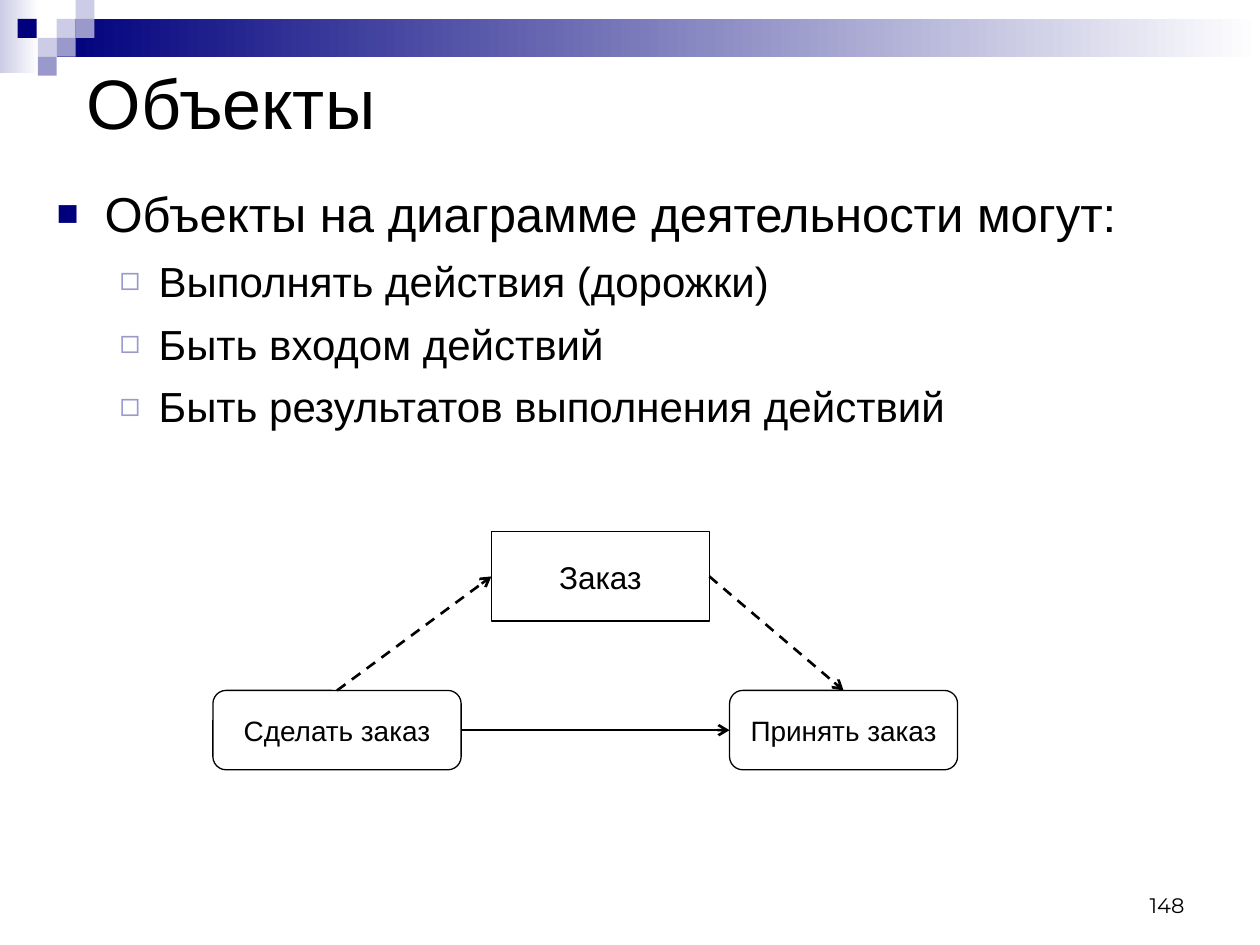
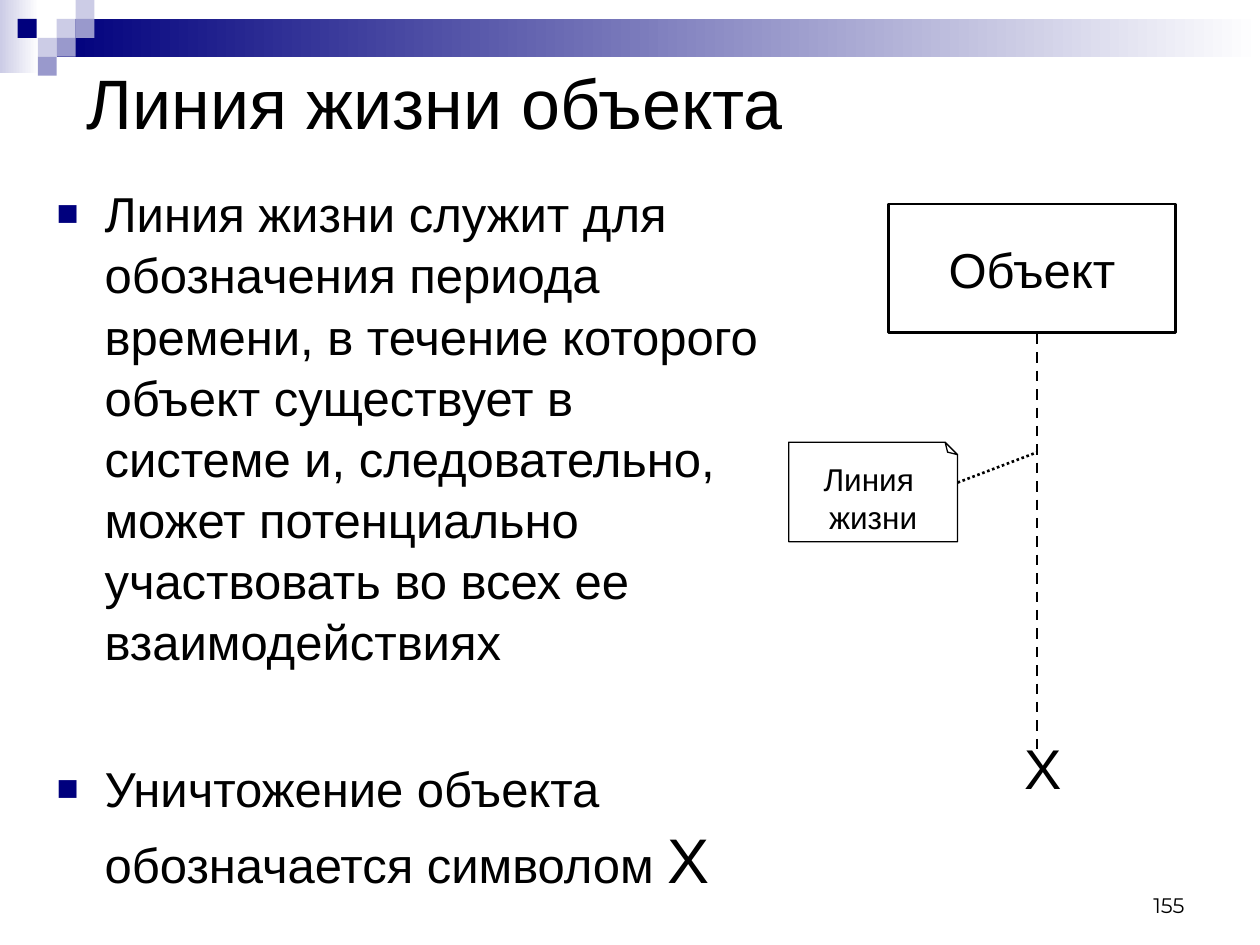
import dataclasses
import typing

import pptx
import pptx.dml.color
import pptx.enum.dml
import pptx.enum.shapes
import pptx.enum.text
import pptx.oxml.ns
import pptx.util

Inches = pptx.util.Inches
Pt = pptx.util.Pt
Shapes = pptx.enum.shapes.MSO_SHAPE
Align = pptx.enum.text.PP_ALIGN
Anchor = pptx.enum.text.MSO_ANCHOR
Dash = pptx.enum.dml.MSO_LINE
qn = pptx.oxml.ns.qn
TOP, LEFT, BOTTOM, RIGHT = range(4)


@dataclasses.dataclass(frozen=True)
class Theme:
    black: str = "000000"
    white: str = "FFFFFF"
    navy: str = "00007D"
    lilac: str = "9999CC"
    pale: str = "CCCCE6"
    font: str = "Arial"
    number_font: str = "Montserrat"
    title: float = 40
    body: float = 28
    sub_body: float = 24
    action: float = 16
    label: float = 18
    cross: float = 32
    large_cross: float = 36
    number: float = 12
    thin: float = 0.75
    thick: float = 1.5
    line_spacing: float = 1.04


THEME = Theme()


class Box(typing.NamedTuple):
    left: float
    top: float
    width: float
    height: float

    def lengths(self) -> list:
        return [Inches(value) for value in self]


class Bullet(typing.NamedTuple):
    char: str
    color: str
    percent: int
    margin: float
    hanging: float
    size: float


class Item(typing.NamedTuple):
    runs: dict[str, float]
    level: int = 0
    space_before: float = 0


class Node(typing.NamedTuple):
    text: str
    kind: Shapes
    box: Box
    size: float
    line_width: float = THEME.thin


BULLETS = (
    Bullet("■", THEME.navy, 75, 0.38, 0.38, THEME.body),
    Bullet("◻", THEME.lilac, 80, 0.81, 0.31, THEME.sub_body),
)
CELL = 0.15
MOSAIC = (
    (0.45, 0.15, THEME.pale),
    (0.6, 0, THEME.pale),
    (0.6, 0.15, THEME.lilac),
    (0.3, 0.3, THEME.pale),
    (0.14, 0.15, THEME.navy),
    (0.45, 0.3, THEME.lilac),
    (0.3, 0.45, THEME.lilac),
)
GRADIENT_BANDS = (
    (Box(0, 0, 0.31, 0.58), THEME.pale),
    (Box(0.45, 0.15, 9.55, 0.3), THEME.navy),
)
TITLE_BOX = Box(0.59, 0.44, 9.14, 0.73)
NUMBER_BOX = Box(7.17, 6.83, 2.33, 0.5)


def rgb(color: str) -> pptx.dml.color.RGBColor:
    return pptx.dml.color.RGBColor.from_string(color)


def place(shape, box: Box) -> None:
    shape.left, shape.top, shape.width, shape.height = box.lengths()


def style_font(font, size: float, name: str = THEME.font) -> None:
    font.name, font.size = name, Pt(size)
    font.color.rgb = rgb(THEME.black)


def write(text_frame, text: str, size: float, align, anchor, name: str = THEME.font) -> None:
    text_frame.text = text
    text_frame.vertical_anchor = anchor
    for paragraph in text_frame.paragraphs:
        paragraph.alignment = align
        for run in paragraph.runs:
            style_font(run.font, size, name)


def add_band(slide, box: Box):
    shape = slide.shapes.add_shape(Shapes.RECTANGLE, *box.lengths())
    shape.shadow.inherit = False
    shape.line.fill.background()
    return shape


def decorate_layout(layout, slide) -> None:
    """Build the top ornament on a slide and move it behind the layout's placeholders."""
    ornament = []
    for box, color in GRADIENT_BANDS:
        band = add_band(slide, box)
        band.fill.gradient()
        band.fill.gradient_angle = 180
        for stop, stop_color in zip(band.fill.gradient_stops, (THEME.white, color)):
            stop.color.rgb = rgb(stop_color)
        ornament.append(band)
    for left, top, color in MOSAIC:
        square = add_band(slide, Box(left, top, CELL, CELL))
        square.fill.solid()
        square.fill.fore_color.rgb = rgb(color)
        ornament.append(square)
    for index, shape in enumerate(ornament):
        shape.element.nvSpPr.cNvPr.set("id", str(100 + index))
        layout.shapes.element.insert(2 + index, shape.element)


def add_bullet(paragraph, bullet: Bullet) -> None:
    properties = paragraph._p.get_or_add_pPr()
    properties.set("marL", str(Inches(bullet.margin)))
    properties.set("indent", str(-Inches(bullet.hanging)))
    color = properties.makeelement(qn("a:buClr"), {})
    color.append(color.makeelement(qn("a:srgbClr"), {"val": bullet.color}))
    properties.append(color)
    for tag, attribute, value in (
        ("a:buSzPct", "val", str(bullet.percent * 1000)),
        ("a:buFont", "typeface", THEME.font),
        ("a:buChar", "char", bullet.char),
    ):
        properties.append(properties.makeelement(qn(tag), {attribute: value}))


def fill_list(placeholder, box: Box, items: tuple[Item, ...]) -> None:
    place(placeholder, box)
    text_frame = placeholder.text_frame
    text_frame.auto_size = pptx.enum.text.MSO_AUTO_SIZE.NONE
    for index, item in enumerate(items):
        paragraph = text_frame.add_paragraph() if index else text_frame.paragraphs[0]
        bullet = BULLETS[item.level]
        paragraph.level = item.level
        add_bullet(paragraph, bullet)
        paragraph.space_before = Pt(item.space_before)
        paragraph.line_spacing = THEME.line_spacing
        style_font(paragraph.font, bullet.size)
        for text, size in item.runs.items():
            run = paragraph.add_run()
            run.text = text
            style_font(run.font, size)


def add_node(slide, node: Node):
    shape = slide.shapes.add_shape(node.kind, *node.box.lengths())
    shape.shadow.inherit = False
    shape.fill.background()
    shape.line.color.rgb = rgb(THEME.black)
    shape.line.width = Pt(node.line_width)
    shape.text_frame.word_wrap = False
    write(shape.text_frame, node.text, node.size, Align.CENTER, Anchor.MIDDLE)
    return shape


def turn_fold_up(note) -> None:
    """Flip a folded-corner note so that its fold is at the top, keeping the text upright."""
    note.element.spPr.xfrm.set("flipV", "1")
    note.text_frame._txBody.bodyPr.set("rot", str(180 * 60000))
    guides = note.element.spPr.find(qn("a:prstGeom")).get_or_add_avLst()
    guides.append(guides.makeelement(qn("a:gd"), {"name": "adj", "fmla": "val 12500"}))


def add_text(slide, box: Box, text: str, size: float, align, anchor, wrap: bool,
             name: str = THEME.font) -> None:
    text_frame = slide.shapes.add_textbox(*box.lengths()).text_frame
    text_frame.word_wrap = wrap
    write(text_frame, text, size, align, anchor, name)


def add_line(slide, start=(0, 0), end=(0, 0), dash=None, arrow: bool = False):
    points = [Inches(value) for value in (*start, *end)]
    line = slide.shapes.add_connector(pptx.enum.shapes.MSO_CONNECTOR.STRAIGHT, *points)
    line.line.color.rgb = rgb(THEME.black)
    line.line.width = Pt(THEME.thick)
    if dash:
        line.line.dash_style = dash
    if arrow:
        outline = line.line._get_or_add_ln()
        outline.append(outline.makeelement(qn("a:tailEnd"), {"type": "arrow"}))
    properties = line.element.spPr
    properties.append(properties.makeelement(qn("a:effectLst"), {}))
    return line


def link(slide, source, source_site: int, target, target_site: int, dash=None) -> None:
    arrow = add_line(slide, dash=dash, arrow=True)
    arrow.begin_connect(source, source_site)
    arrow.end_connect(target, target_site)


def add_slide(presentation, layout, title: str, number: int, body_box: Box,
              items: tuple[Item, ...]):
    slide = presentation.slides.add_slide(layout)
    place(slide.shapes.title, TITLE_BOX)
    title_frame = slide.shapes.title.text_frame
    title_frame.auto_size = pptx.enum.text.MSO_AUTO_SIZE.NONE
    write(title_frame, title, THEME.title, Align.LEFT, Anchor.MIDDLE)
    fill_list(slide.placeholders[1], body_box, items)
    add_text(slide, NUMBER_BOX, str(number), THEME.number, Align.RIGHT, Anchor.BOTTOM,
             True, THEME.number_font)
    return slide


def build_objects_slide(presentation, layout):
    sub_items = ("Выполнять действия (дорожки)", "Быть входом действий",
                 "Быть результатов выполнения действий")
    items = (
        Item({"Объекты на диаграмме деятельности могут:": THEME.body}),
        *(Item({text: THEME.sub_body}, 1, 6) for text in sub_items),
    )
    slide = add_slide(presentation, layout, "Объекты", 148, Box(0.35, 1.39, 9.29, 5.58), items)
    action = Shapes.FLOWCHART_ALTERNATE_PROCESS
    make_order, accept_order, order = (add_node(slide, node) for node in (
        Node("Сделать заказ", action, Box(1.69, 5.48, 1.97, 0.63), THEME.action),
        Node("Принять заказ", action, Box(5.79, 5.48, 1.81, 0.63), THEME.action),
        Node("Заказ", Shapes.RECTANGLE, Box(3.9, 4.22, 1.73, 0.71), THEME.label),
    ))
    link(slide, make_order, RIGHT, accept_order, LEFT)
    link(slide, make_order, TOP, order, LEFT, Dash.DASH)
    link(slide, order, RIGHT, accept_order, TOP, Dash.DASH)
    return slide


def build_lifeline_slide(presentation, layout) -> None:
    items = (
        Item({"Линия жизни служит для обозначения периода времени, в течение которого "
              "объект существует в системе и, следовательно, может потенциально "
              "участвовать во всех ее взаимодействиях": THEME.body}),
        Item({"Уничтожение объекта обозначается символом ": THEME.body,
              "X": THEME.large_cross}, space_before=49),
    )
    slide = add_slide(presentation, layout, "Линия жизни объекта", 155,
                      Box(0.35, 1.39, 5.83, 5.58), items)
    add_node(slide, Node("Объект", Shapes.RECTANGLE, Box(7.05, 1.62, 2.28, 1.02),
                         THEME.body, THEME.thick))
    lifeline_x = 8.23
    add_line(slide, (lifeline_x, 2.65), (lifeline_x, 5.95), Dash.DASH)
    note = add_node(slide, Node("Линия \nжизни", Shapes.FOLDED_CORNER,
                                Box(6.26, 3.51, 1.34, 0.79), THEME.label))
    turn_fold_up(note)
    add_text(slide, Box(8.03, 5.89, 0.39, 0.39), "X", THEME.cross, Align.CENTER,
             Anchor.MIDDLE, False)
    add_line(slide, (7.6, 3.83), (lifeline_x, 3.59), Dash.ROUND_DOT)


def main() -> None:
    presentation = pptx.Presentation()
    presentation.slide_width, presentation.slide_height = Inches(10), Inches(7.5)
    layout = presentation.slide_layouts[1]
    objects_slide = build_objects_slide(presentation, layout)
    decorate_layout(layout, objects_slide)
    build_lifeline_slide(presentation, layout)
    presentation.save("out.pptx")


if __name__ == "__main__":
    main()
